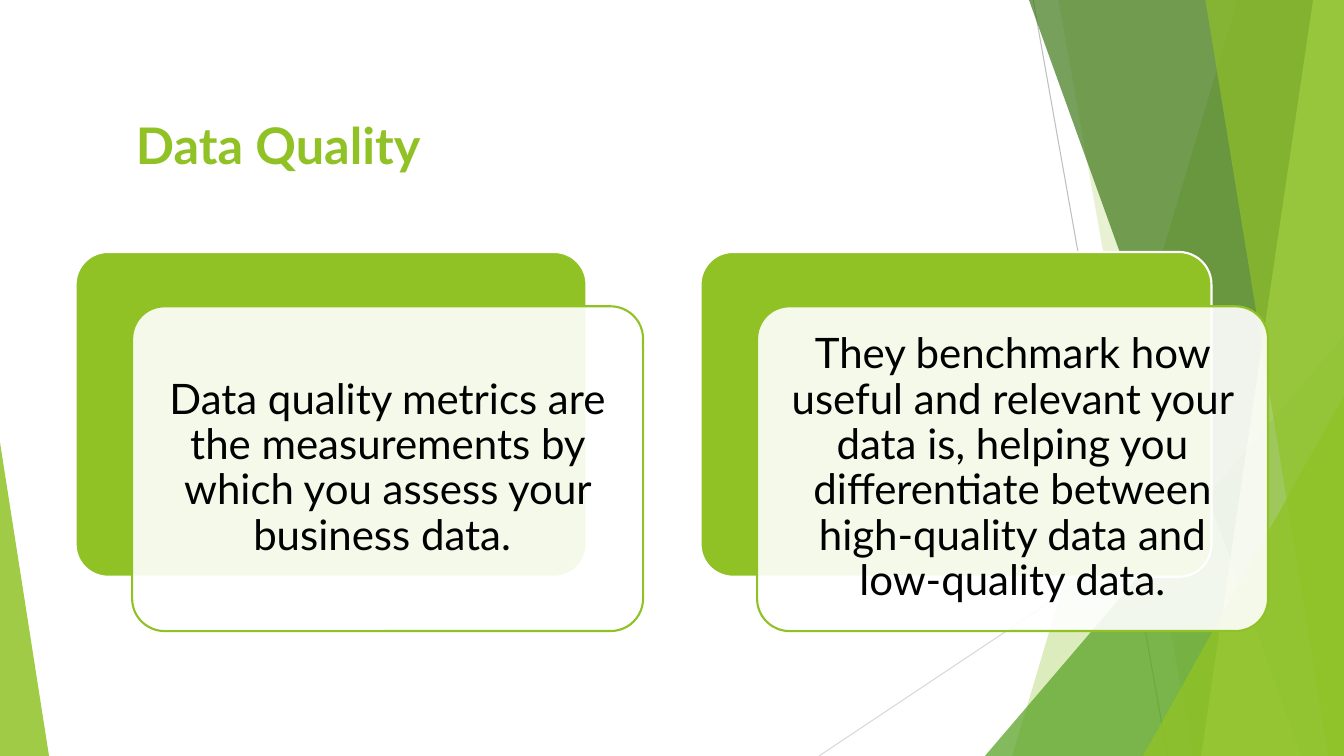
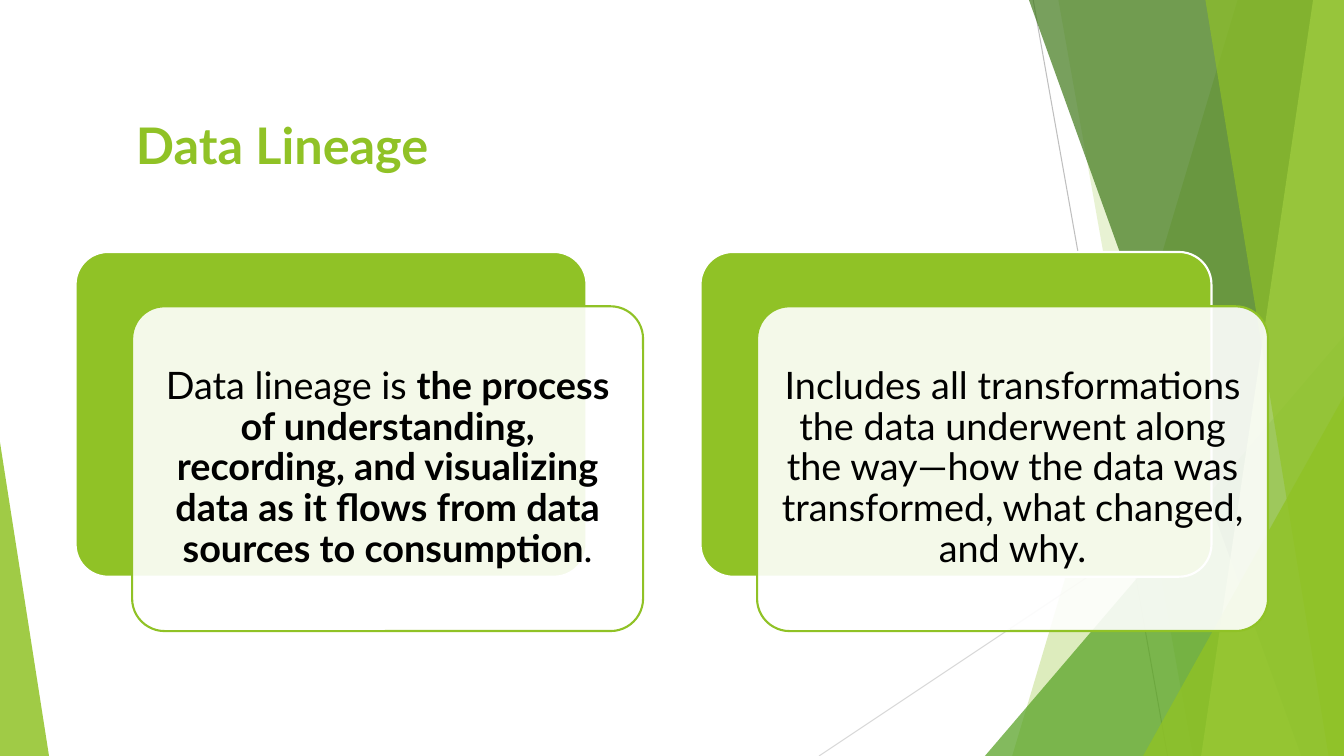
"""Build two slides on data quality and data lineage over a faceted green backdrop."""
from dataclasses import dataclass

from lxml import etree
from pptx import Presentation
from pptx.dml.color import RGBColor
from pptx.enum.shapes import MSO_CONNECTOR, MSO_SHAPE
from pptx.enum.text import MSO_ANCHOR, PP_ALIGN
from pptx.oxml.ns import qn
from pptx.util import Pt

STRAIGHT = MSO_CONNECTOR.STRAIGHT
TRIANGLE = MSO_SHAPE.ISOSCELES_TRIANGLE
ROUNDED = MSO_SHAPE.ROUNDED_RECTANGLE
TOP, MIDDLE = MSO_ANCHOR.TOP, MSO_ANCHOR.MIDDLE
LEFT, CENTER = PP_ALIGN.LEFT, PP_ALIGN.CENTER
WIDTH, HEIGHT = 960, 540


@dataclass(frozen=True)
class Theme:
    font: str = "Lato"
    title_size: float = 36
    green: str = "90C226"
    mid_green: str = "54A021"
    dark_green: str = "3F7819"
    pale_green: str = "C0E474"
    white: str = "FFFFFF"
    black: str = "000000"
    gray: str = "BFBFBF"
    light_gray: str = "D9D9D9"
    hairline: float = 0.75
    outline: float = 1.5


THEME = Theme()

RAYS = [
    ((738, 0), (834, HEIGHT), THEME.gray),
    ((WIDTH, 290), (585, HEIGHT), THEME.light_gray),
]
BACKDROP = [
    ("facet", (884, 723), THEME.green, 30),
    ("facet", (756, 852), THEME.green, 20),
    ("wedge", (703.5, 240, 256.5, 300, 1), THEME.mid_green, 72),
    ("facet", (735, 929.5), THEME.dark_green, 70),
    ("facet", (938, 858), THEME.pale_green, 70),
    ("facet", (861, 949), THEME.green, 65),
    ("wedge", (816.5, 283, 143.5, 257, 1), THEME.green, 80),
    ("wedge", (0, 316, 35, 224, 0), THEME.green, 85),
]
CARD_LEFT, CARD_TOP, CARD_WIDTH, CARD_HEIGHT = 54, 180, 365, 232
CARD_PITCH = 446.4
FRONT_SHIFT = (40.4, 38.8)

SLIDES = [
    ("Data Quality", 30, 8.6, [
        [("Data quality metrics are the measurements by which you assess your business data. ", False)],
        [("They benchmark how useful and relevant your data is, helping you differentiate "
          "between high-quality data and low-quality data.", False)],
    ]),
    ("Data Lineage", 27, 7.8, [
        [("Data lineage is ", False),
         ("the process of understanding, recording, and visualizing data as it flows "
          "from data sources to consumption", True),
         (".", False)],
        [("Includes all transformations the data underwent along the way—how the data "
          "was transformed, what changed, and why.", False)],
    ]),
]


class Deck:
    """Hold the theme, the presentation and the current slide."""

    def __init__(self, theme):
        self.theme = theme
        self.deck = Presentation()
        self.deck.slide_width, self.deck.slide_height = Pt(WIDTH), Pt(HEIGHT)
        self.shapes = None

    def new_slide(self):
        self.shapes = self.deck.slides.add_slide(self.deck.slide_layouts[6]).shapes
        for start, end, color in RAYS:
            self.ray(start, end, color)
        draw = {"facet": self.facet, "wedge": self.wedge}
        for kind, geometry, color, opacity in BACKDROP:
            draw[kind](geometry, color, opacity)

    def paint(self, shape, color, opacity=100, outline=None):
        shape.shadow.inherit = False
        shape.fill.solid()
        shape.fill.fore_color.rgb = RGBColor.from_string(color)
        if opacity < 100:
            tint = shape._element.spPr.find(qn("a:solidFill")).find(qn("a:srgbClr"))
            etree.SubElement(tint, qn("a:alpha")).set("val", str(opacity * 1000))
        if outline:
            shape.line.color.rgb = RGBColor.from_string(outline)
            shape.line.width = Pt(self.theme.outline)
        else:
            shape.line.fill.background()

    def ray(self, start, end, color):
        ray = self.shapes.add_connector(STRAIGHT, *map(Pt, start + end))
        ray.line.color.rgb = RGBColor.from_string(color)
        ray.line.width = Pt(self.theme.hairline)
        etree.SubElement(ray._element.spPr, qn("a:effectLst"))

    def facet(self, edge, color, opacity):
        top_x, bottom_x = edge
        builder = self.shapes.build_freeform(Pt(top_x), Pt(0))
        corners = [(WIDTH, 0), (WIDTH, HEIGHT), (bottom_x, HEIGHT)]
        builder.add_line_segments([(Pt(x), Pt(y)) for x, y in corners], close=True)
        self.paint(builder.convert_to_shape(), color, opacity)

    def wedge(self, geometry, color, opacity):
        *box, apex = geometry
        wedge = self.shapes.add_shape(TRIANGLE, *map(Pt, box))
        wedge.adjustments[0] = apex
        self.paint(wedge, color, opacity)

    def set_text(self, frame, runs, size, color, align, layout):
        for name, value in layout.items():
            setattr(frame, name, value)
        paragraph = frame.paragraphs[0]
        paragraph.alignment = align
        for text, bold in runs:
            run = paragraph.add_run()
            run.text = text
            style = {"name": self.theme.font, "size": Pt(size), "bold": bold}
            for name, value in style.items():
                setattr(run.font, name, value)
            run.font.color.rgb = RGBColor.from_string(color)
        return paragraph

    def title(self, text):
        heading = self.shapes.add_textbox(Pt(90), Pt(78), Pt(780), Pt(54))
        layout = {"word_wrap": True, "vertical_anchor": TOP}
        self.set_text(heading.text_frame, [(text, True)], self.theme.title_size,
                      self.theme.green, LEFT, layout)

    def panel(self, left, top, color, opacity, outline):
        panel = self.shapes.add_shape(
            ROUNDED, Pt(left), Pt(top), Pt(CARD_WIDTH), Pt(CARD_HEIGHT))
        panel.adjustments[0] = 0.1
        self.paint(panel, color, opacity, outline)
        return panel

    def card(self, column, runs, size, inset):
        theme = self.theme
        left = CARD_LEFT + column * CARD_PITCH
        shift_x, shift_y = FRONT_SHIFT
        self.panel(left, CARD_TOP, theme.green, 100, theme.white)
        front = self.panel(left + shift_x, CARD_TOP + shift_y, theme.white, 90, theme.green)
        layout = {"word_wrap": True, "vertical_anchor": MIDDLE}
        for side in ("left", "top", "right", "bottom"):
            layout["margin_" + side] = Pt(inset)
        statement = self.set_text(front.text_frame, runs, size, theme.black, CENTER, layout)
        statement.line_spacing = 0.9


def main():
    deck = Deck(THEME)
    for heading, size, inset, statements in SLIDES:
        deck.new_slide()
        deck.title(heading)
        for column, runs in enumerate(statements):
            deck.card(column, runs, size, inset)
    deck.deck.save("out.pptx")


if __name__ == "__main__":
    main()
